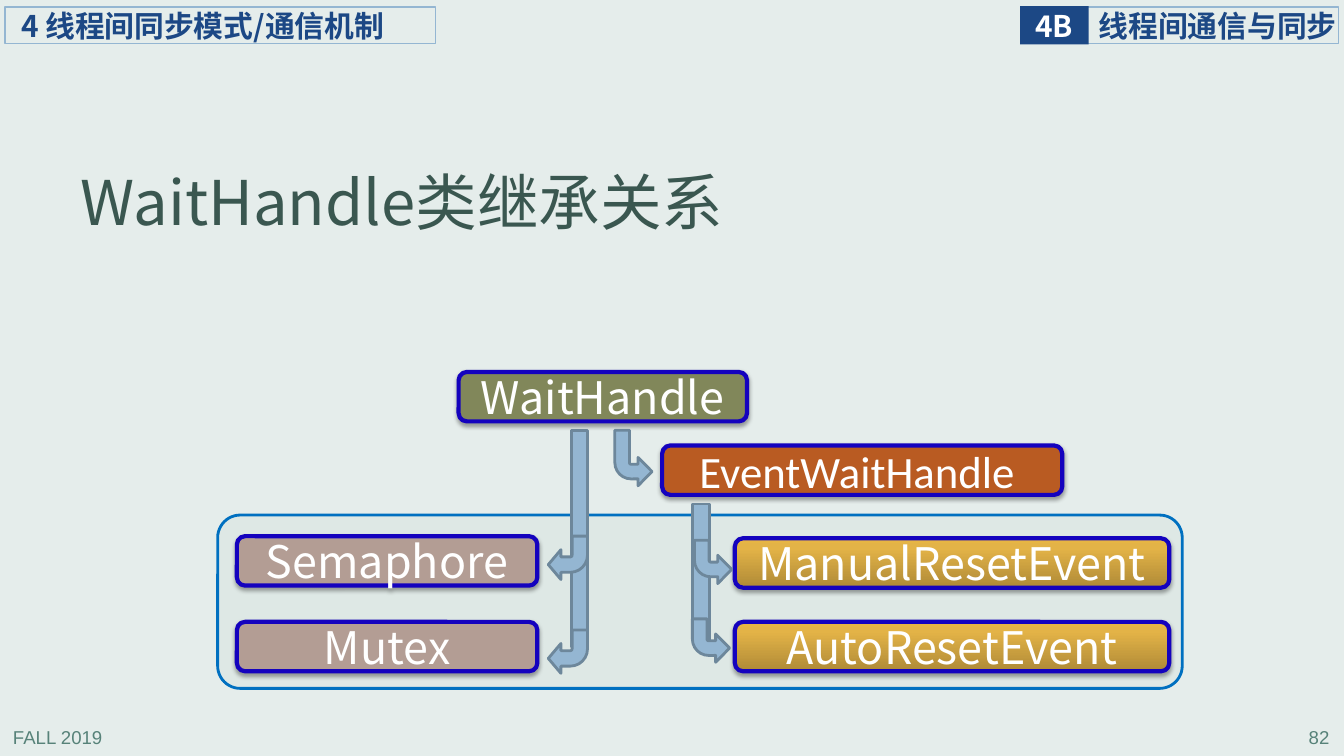
from dataclasses import dataclass
from typing import Optional

import lxml.etree
import pptx
import pptx.dml.color
import pptx.enum.shapes
import pptx.enum.text
import pptx.oxml.ns
import pptx.shapes.autoshape
import pptx.shapes.shapetree
import pptx.util

Pt = pptx.util.Pt
RGBColor = pptx.dml.color.RGBColor
Kind = pptx.enum.shapes.MSO_SHAPE
Align = pptx.enum.text.PP_ALIGN
Anchor = pptx.enum.text.MSO_ANCHOR
Shapes = pptx.shapes.shapetree.SlideShapes
Shape = pptx.shapes.autoshape.Shape
qn = pptx.oxml.ns.qn

BACKGROUND = RGBColor(0xE5, 0xED, 0xEB)
NAVY = RGBColor(0x1C, 0x48, 0x85)
WHITE = RGBColor(0xFF, 0xFF, 0xFF)
LIGHT_BLUE = RGBColor(0x94, 0xB6, 0xD2)
ARROW_LINE = RGBColor(0x6D, 0x87, 0x9B)
FOOTER_GREEN = RGBColor(0x57, 0x82, 0x79)
TITLE_GREEN = RGBColor(0x3A, 0x57, 0x50)
FRAME_FILL = RGBColor(0xB0, 0xCA, 0xC4)
FRAME_LINE = RGBColor(0x00, 0x70, 0xC0)
NODE_LINE = RGBColor(0x14, 0x02, 0xBE)
OLIVE = RGBColor(0x81, 0x87, 0x5A)
RUST = RGBColor(0xB9, 0x5B, 0x22)
TAUPE = RGBColor(0xB3, 0x9D, 0x94)
GOLD_STOPS = (
    (0, RGBColor(0xAF, 0x8A, 0x37)),
    (80, RGBColor(0xE3, 0xB3, 0x47)),
    (100, RGBColor(0xE7, 0xB5, 0x44)),
)
NOTO = "Noto Sans CJK SC"

NODE_HEIGHT = 35.3
SEMAPHORE_LEFT, SEMAPHORE_WIDTH = 169.2, 214.6
EVENT_LEFT, EVENT_WIDTH = 524.9, 310.3
LAST_ROW = 444.2
DEFAULT_INSETS = (7.2, 3.6, 7.2, 3.6)
NO_INSETS = (0, 0, 0, 0)


@dataclass
class Box:
    left: float
    top: float
    width: float
    height: float


@dataclass
class Style:
    size: float
    color: RGBColor
    font: str = NOTO
    bold: bool = False
    align: Align = Align.LEFT
    insets: tuple[float, float, float, float] = DEFAULT_INSETS
    wrap: bool = True


@dataclass
class Node:
    name: str
    left: float
    top: float
    width: float
    fill: Optional[RGBColor] = None  # None means the gold gradient
    font: str = NOTO


@dataclass
class Bend:
    """An arrow that goes down and then turns to the left or right."""
    box: Box
    to_left: bool = False


HEADER = Style(21.3, NAVY, bold=True, insets=(8.6, 0, 0, 0))
CHAPTER = Style(21.3, NAVY, bold=True, insets=(11.5, 0, 0, 0))
BADGE = Style(21.3, WHITE, bold=True, align=Align.CENTER, insets=NO_INSETS, wrap=False)

NODES = [
    Node("WaitHandle", 327.6, 265.7, 206, OLIVE),
    Node("EventWaitHandle ", 473, 318.2, 285.8, RUST, "Calibri"),
    Node("ManualResetEvent", EVENT_LEFT, 384.5, EVENT_WIDTH),
    Node("Semaphore", SEMAPHORE_LEFT, 383, SEMAPHORE_WIDTH, TAUPE),
    Node("Mutex", SEMAPHORE_LEFT, LAST_ROW, SEMAPHORE_WIDTH, TAUPE),
    Node("AutoResetEvent", EVENT_LEFT, LAST_ROW, EVENT_WIDTH),
]
STEMS = [Box(408.2, 307.4, 11.5, 154.8), Box(494.6, 360, 12.2, 97.2)]
BENDS = [
    Bend(Box(391.7, 450, 28, 31), to_left=True),
    Bend(Box(439.2, 307.4, 26.6, 39.6)),
    Bend(Box(496.1, 385.9, 26.6, 31)),
    Bend(Box(494.6, 442.1, 26.6, 31)),
    Bend(Box(391.7, 383, 28, 31), to_left=True),
]


def add_shape(shapes: Shapes, kind: Kind, box: Box, fill: Optional[RGBColor] = None,
              line: Optional[RGBColor] = None, line_width: float = 0) -> Shape:
    shape = shapes.add_shape(kind, Pt(box.left), Pt(box.top), Pt(box.width), Pt(box.height))
    shape.shadow.inherit = False
    if fill is None:
        shape.fill.background()
    else:
        shape.fill.solid()
        shape.fill.fore_color.rgb = fill
    if line is None:
        shape.line.fill.background()
    else:
        shape.line.color.rgb = line
        shape.line.width = Pt(line_width)
    return shape


def write(shape: Shape, text: str, style: Style, line_spacing: float = 1.0) -> None:
    frame = shape.text_frame
    frame.word_wrap = style.wrap
    frame.vertical_anchor = Anchor.MIDDLE
    (frame.margin_left, frame.margin_top,
     frame.margin_right, frame.margin_bottom) = map(Pt, style.insets)
    paragraph = frame.paragraphs[0]
    paragraph.alignment = style.align
    paragraph.line_spacing = line_spacing
    run = paragraph.add_run()
    run.text = text
    run.font.name = style.font
    run.font.size = Pt(style.size)
    run.font.bold = style.bold
    run.font.color.rgb = style.color
    east_asian = lxml.etree.SubElement(run.font._element, qn("a:ea"))
    east_asian.set("typeface", style.font)


def add_text(shapes: Shapes, box: Box, text: str, style: Style,
             line_spacing: float = 1.0) -> None:
    text_box = shapes.add_textbox(Pt(box.left), Pt(box.top), Pt(box.width), Pt(box.height))
    write(text_box, text, style, line_spacing)


def add_color(parent: lxml.etree._Element, color: RGBColor, alpha: int = 100) -> None:
    element = lxml.etree.SubElement(parent, qn("a:srgbClr"), val=str(color))
    lxml.etree.SubElement(element, qn("a:alpha"), val=str(alpha * 1000))


def fill_gold(shape: Shape) -> None:
    shape.fill.gradient()
    shape.fill.gradient_angle = 90
    stops = shape._element.spPr.find(".//" + qn("a:gsLst"))
    for stop in list(stops):
        stops.remove(stop)
    for position, color in GOLD_STOPS:
        add_color(lxml.etree.SubElement(stops, qn("a:gs"), pos=str(position * 1000)), color)


def add_node(shapes: Shapes, node: Node) -> None:
    box = Box(node.left, node.top, node.width, NODE_HEIGHT)
    shape = add_shape(shapes, Kind.ROUNDED_RECTANGLE, box, node.fill, NODE_LINE, 3)
    if node.fill is None:
        fill_gold(shape)
    shadow = lxml.etree.SubElement(
        shape._element.spPr.find(qn("a:effectLst")), qn("a:outerShdw"),
        blurRad=str(Pt(3.1)), dist=str(Pt(1.8)), dir="5400000", rotWithShape="0")
    add_color(shadow, RGBColor(0, 0, 0), 35)
    write(shape, node.name, Style(32, WHITE, node.font, align=Align.CENTER))


def add_bend(shapes: Shapes, bend: Bend) -> None:
    shape = add_shape(shapes, Kind.BENT_ARROW, bend.box, LIGHT_BLUE, ARROW_LINE, 2)
    head_length = 0.321 if bend.to_left else 0.376
    for index, value in enumerate((0.393, 0.381, head_length, 0.438)):
        shape.adjustments[index] = value
    transform = shape._element.spPr.find(qn("a:xfrm"))
    transform.set("flipV", "1")
    if bend.to_left:
        transform.set("flipH", "1")


def main() -> None:
    presentation = pptx.Presentation()
    presentation.slide_width, presentation.slide_height = Pt(960), Pt(540)
    slide = presentation.slides.add_slide(presentation.slide_layouts[6])
    slide.background.fill.solid()
    slide.background.fill.fore_color.rgb = BACKGROUND
    shapes = slide.shapes

    for left, text, align in ((2.2, "FALL 2019", Align.LEFT), (756.7, "82", Align.RIGHT)):
        add_text(shapes, Box(left, 515.5, 200, 22.3), text,
                 Style(13.3, FOOTER_GREEN, "Arial", align=align))

    section = add_shape(shapes, Kind.RECTANGLE, Box(776.2, 5, 180.2, 26), None, LIGHT_BLUE, 0.75)
    write(section, "线程间通信与同步", HEADER)
    badge = add_shape(shapes, Kind.RECTANGLE, Box(728.6, 4.3, 49, 27.4), NAVY)
    write(badge, "4B", BADGE)
    chapter = add_shape(shapes, Kind.RECTANGLE, Box(3.6, 5, 307.4, 26), None, LIGHT_BLUE, 0.75)
    write(chapter, "4 线程间同步模式/通信机制", CHAPTER)

    frame = add_shape(shapes, Kind.ROUNDED_RECTANGLE, Box(155.5, 367.9, 689, 123.8),
                      FRAME_FILL, FRAME_LINE, 2)
    frame.adjustments[0] = 0.13
    frame_color = frame._element.spPr.find(qn("a:solidFill")).find(qn("a:srgbClr"))
    lxml.etree.SubElement(frame_color, qn("a:alpha"), val="13000")
    add_text(shapes, Box(51.8, 121.7, 551.5, 50.4), "WaitHandle类继承关系 ",
             Style(44, TITLE_GREEN, insets=(5.8, 2.9, 5.8, 2.9)), 0.9)

    for node in NODES:
        add_node(shapes, node)
    for stem in STEMS:
        add_shape(shapes, Kind.RECTANGLE, stem, LIGHT_BLUE, ARROW_LINE, 2)
    for bend in BENDS:
        add_bend(shapes, bend)

    presentation.save("out.pptx")


if __name__ == "__main__":
    main()
